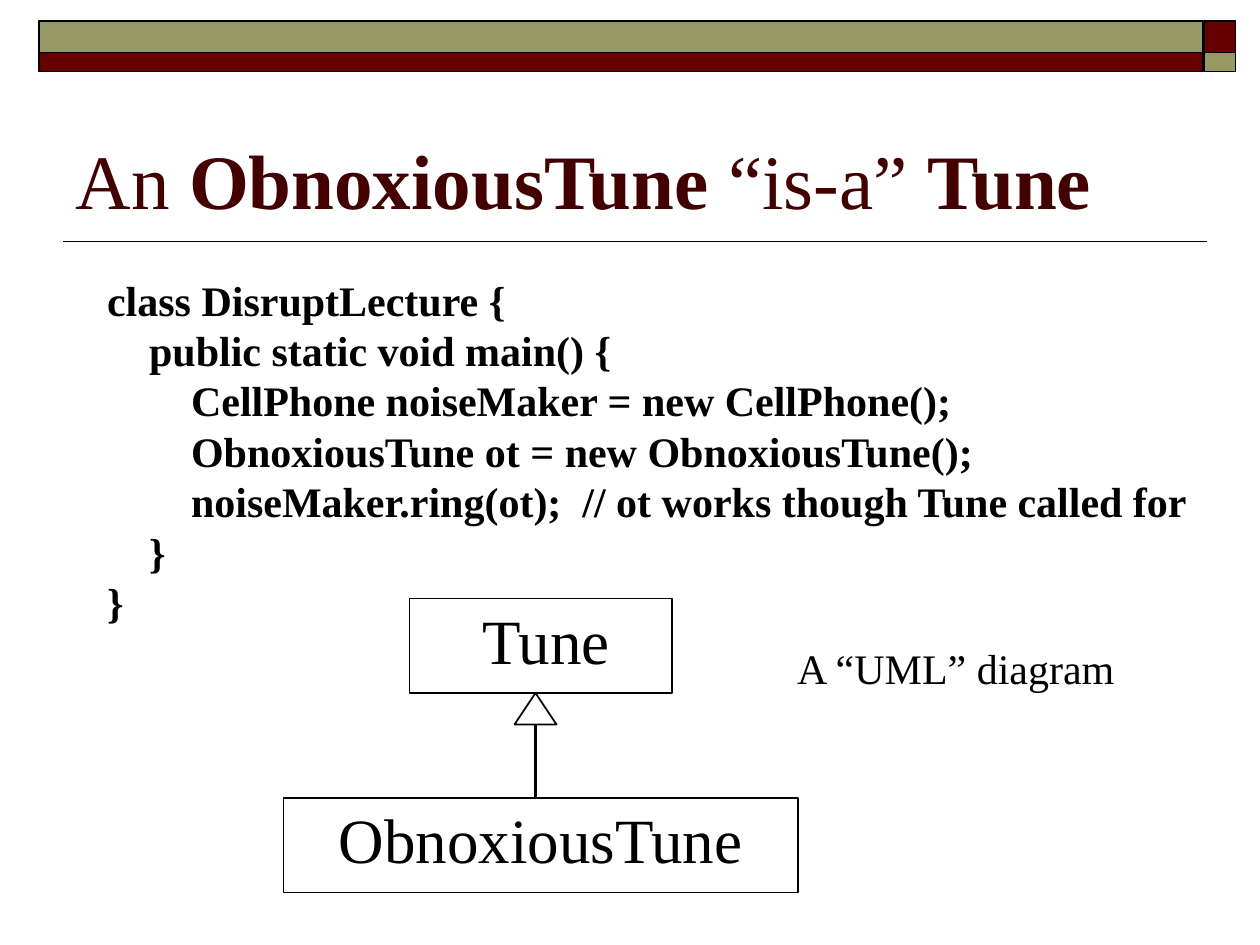
from lxml.etree import SubElement
from pptx import Presentation
from pptx.dml.color import RGBColor
from pptx.enum.shapes import MSO_CONNECTOR as Connector, MSO_SHAPE as Shape
from pptx.enum.text import MSO_ANCHOR as Anchor, MSO_AUTO_SIZE as AutoSize, PP_ALIGN as Align
from pptx.oxml.ns import qn
from pptx.util import Pt

# Content
TITLE = [("An", False), (" ObnoxiousTune", True), (" “is-a” ", False), ("Tune", True)]
CODE = [  # nesting depth, statement
    (0, "class DisruptLecture {"),
    (1, "public static void main() {"),
    (2, "CellPhone noiseMaker = new CellPhone();"),
    (2, "ObnoxiousTune ot = new ObnoxiousTune();"),
    (2, "noiseMaker.ring(ot);  // ot works though Tune called for"),
    (1, "}"),
    (0, "}"),
]
CLASSES = [  # left, top, width, height of the box; left and width of the label
    ("Tune", (234, 342, 150, 54), (268.5, 88)),
    ("ObnoxiousTune", (162, 456, 294, 54), (186.5, 246)),
]
CAPTION = "A “UML” diagram"

# Style
FONT = "Times New Roman"
BLACK, MAROON, OLIVE, TITLE_COLOR = "000000", "660000", "999966", "420000"
NEST_INDENT = 24

# Header band
BAND_COLUMNS = [(22.5, 665), (688, 18)]  # left, width
BAND_ROWS = [(12, 18), (30, 11)]  # top, height
BAND_COLORS = [[OLIVE, MAROON], [MAROON, OLIVE]]


def rgb(color):
    return RGBColor.from_string(color)


def place(shape, left, top, width, height):
    shape.left, shape.top, shape.width, shape.height = map(Pt, (left, top, width, height))


def write(paragraph, text, size=24, color=BLACK, bold=False):
    run = paragraph.add_run()
    run.text = text
    run.font.name, run.font.size, run.font.bold = FONT, Pt(size), bold
    run.font.color.rgb = rgb(color)


def outlined(kind, left, top, width, height, fill=None):
    shape = slide.shapes.add_shape(kind, *map(Pt, (left, top, width, height)))
    shape.shadow.inherit = False
    shape.line.color.rgb, shape.line.width = rgb(BLACK), Pt(1)
    if fill:
        shape.fill.solid()
        shape.fill.fore_color.rgb = rgb(fill)
    else:
        shape.fill.background()


def rule(start, end, width):
    line = slide.shapes.add_connector(Connector.STRAIGHT, *map(Pt, start + end))
    line.line.color.rgb, line.line.width = rgb(BLACK), Pt(width)
    SubElement(line._element.spPr, qn("a:effectLst"))


def label(text, left, top, width, height, **style):
    frame = slide.shapes.add_textbox(*map(Pt, (left, top, width, height))).text_frame
    frame.word_wrap = False
    frame.auto_size = AutoSize.SHAPE_TO_FIT_TEXT
    write(frame.paragraphs[0], text, **style)


deck = Presentation()
deck.slide_width, deck.slide_height = Pt(720), Pt(540)
slide = deck.slides.add_slide(deck.slide_layouts[1])
heading, code = slide.placeholders

# Header band and title rule
rule((690, 138), (36, 138), 1)
for (top, height), colors in zip(BAND_ROWS, BAND_COLORS):
    for (left, width), color in zip(BAND_COLUMNS, colors):
        outlined(Shape.RECTANGLE, left, top, width, height, fill=color)

# Title
place(heading, 36, 42, 648, 90)
heading.text_frame.vertical_anchor = Anchor.BOTTOM
heading.text_frame.auto_size = AutoSize.NONE
title_line = heading.text_frame.paragraphs[0]
title_line.alignment = Align.LEFT
for text, bold in TITLE:
    write(title_line, text, size=44, color=TITLE_COLOR, bold=bold)

# Code listing
place(code, 54, 153, 648, 351)
code.text_frame.auto_size = AutoSize.NONE
for number, (depth, statement) in enumerate(CODE):
    line = code.text_frame.add_paragraph() if number else code.text_frame.paragraphs[0]
    line.line_spacing, line.space_before = Pt(28.8), Pt(0)
    properties = line._p.get_or_add_pPr()
    properties.set("marL", str(Pt(depth * NEST_INDENT)))
    properties.set("indent", "0")
    SubElement(properties, qn("a:buNone"))
    write(line, statement, bold=True)

# Class diagram
for name, box, (label_left, label_width) in CLASSES:
    outlined(Shape.RECTANGLE, *box)
    label(name, label_left, box[1] - 2, label_width, 50, size=36)
outlined(Shape.ISOSCELES_TRIANGLE, 294, 396, 24, 18)
rule((306, 414), (306, 456), 1.5)
label(CAPTION, 448.5, 363.5, 197, 36)

deck.save("out.pptx")
